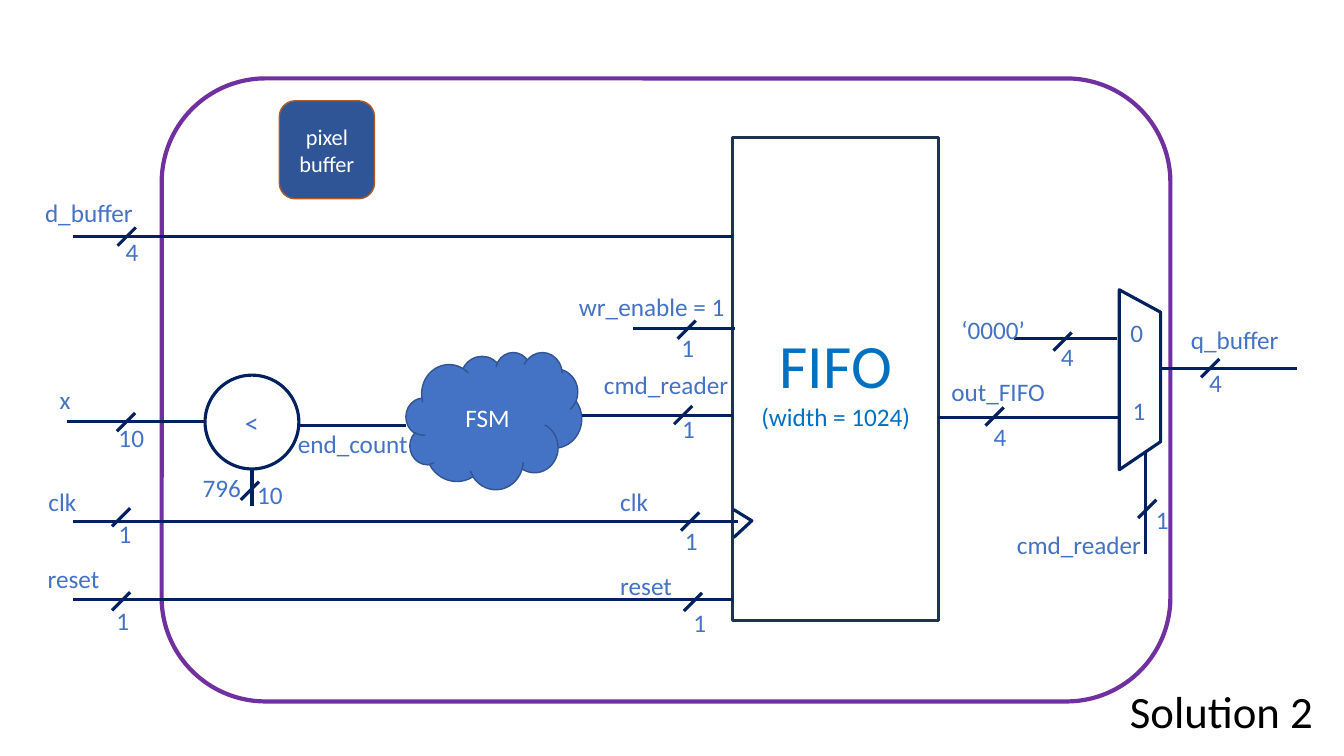
from pptx import Presentation
from pptx.dml.color import RGBColor
from pptx.enum.shapes import MSO_CONNECTOR, MSO_SHAPE
from pptx.enum.text import MSO_ANCHOR, PP_ALIGN
from pptx.oxml.ns import qn
from pptx.util import Pt
from lxml import etree

STRAIGHT = MSO_CONNECTOR.STRAIGHT
CENTER, LEFT = PP_ALIGN.CENTER, PP_ALIGN.LEFT
MIDDLE = MSO_ANCHOR.MIDDLE
ROUNDED, RECT = MSO_SHAPE.ROUNDED_RECTANGLE, MSO_SHAPE.RECTANGLE
CLOUD, OVAL = MSO_SHAPE.CLOUD, MSO_SHAPE.OVAL

COLORS = {
    "white": "FFFFFF", "black": "000000", "purple": "7030A0",
    "navy": "002060", "label": "4472C4", "fifo": "0070C0",
    "fifo_line": "1E3256", "badge": "2F5597", "badge_line": "AF5C24",
    "cloud_line": "325491",
}
FONT = "Calibri"
WIRE_WEIGHT = 2.25
TICK_REACH = 6.5
LABEL_HEIGHT = 29
BITS_WIDTH = 34.5

prs = Presentation()
prs.slide_width, prs.slide_height = Pt(960), Pt(540)
slide = prs.slides.add_slide(prs.slide_layouts[6])
shapes = slide.shapes


def write(frame, lines, color, align=CENTER):
    for i, (text, size) in enumerate(lines):
        paragraph = frame.paragraphs[0] if i == 0 else frame.add_paragraph()
        paragraph.alignment = align
        run = paragraph.add_run()
        run.text = text
        run.font.name = FONT
        run.font.size = Pt(size)
        run.font.color.rgb = RGBColor.from_string(COLORS[color])


def style(shape, fill, line, weight):
    shape.shadow.inherit = False
    if fill:
        shape.fill.solid()
        shape.fill.fore_color.rgb = RGBColor.from_string(COLORS[fill])
    else:
        shape.fill.background()
    shape.line.color.rgb = RGBColor.from_string(COLORS[line])
    shape.line.width = Pt(weight)


# Blocks: preset, box, fill, line, line width, text lines, text colour
blocks = [
    (ROUNDED, (115.5, 56, 720.5, 445), "white", "purple", 3, [], "label"),
    (ROUNDED, (199.5, 72, 68, 70), "badge", "badge_line", 1,
     [("pixel", 16), ("buffer", 16)], "white"),
    (RECT, (523.5, 98.5, 147, 345), None, "fifo_line", 2.25,
     [("FIFO", 44), ("(width = 1024)", 18)], "fifo"),
    (CLOUD, (290, 251.5, 125.5, 98), "label", "cloud_line", 1,
     [("FSM", 18)], "white"),
    (OVAL, (146.5, 268, 67, 67), "white", "navy", 2.25,
     [("<", 20)], "label"),
]
for preset, box, fill, line, weight, lines, color in blocks:
    block = shapes.add_shape(preset, *(Pt(v) for v in box))
    style(block, fill, line, weight)
    block.text_frame.vertical_anchor = MIDDLE
    write(block.text_frame, lines, color)

# Multiplexer and clock-input outlines: points, closed
outlines = [
    ([(799.5, 207), (829, 223), (829, 315.5), (799.5, 335.5)], True),
    ([(524, 364), (537, 372), (524, 384)], False),
]
for points, closed in outlines:
    builder = shapes.build_freeform(Pt(points[0][0]), Pt(points[0][1]))
    builder.add_line_segments([(Pt(x), Pt(y)) for x, y in points[1:]], close=closed)
    style(builder.convert_to_shape(), None, "navy", WIRE_WEIGHT)

# Signal wires: start x, y, end x, y
wires = [
    (52, 169, 523.5, 169),        # d_buffer
    (48, 301, 145.5, 301),        # x
    (52, 372.25, 527, 372.25),    # clk
    (52, 428.5, 523.5, 428.5),    # reset
    (180, 361.5, 180, 335.5),     # 796
    (213.5, 304, 290, 304),       # end_count
    (452.5, 234.75, 525, 234.75), # wr_enable
    (415.5, 297, 523.5, 297),     # cmd_reader into FIFO
    (670, 298, 799.5, 298),       # out_FIFO
    (724.5, 242, 798, 242),       # '0000'
    (818.5, 396, 818.5, 323),     # cmd_reader into multiplexer
    (829, 263.25, 926.5, 263.25), # q_buffer
]

# Bus widths: bits, centre of the tick, left and top of the number
buses = [
    ("4", 90.5, 169, 77, 165.5),
    ("10", 90, 301.5, 76.5, 298),
    ("1", 86.5, 369.5, 72, 366.5),
    ("1", 86.5, 429.5, 70.5, 429),
    ("10", 178.5, 350.5, 175.5, 339),
    ("1", 490.5, 235.5, 474, 234),
    ("1", 488, 296.5, 474.5, 291.5),
    ("1", 493, 372.5, 476.5, 371.5),
    ("1", 495, 430, 482.5, 430),
    ("4", 710.5, 297.5, 697, 297.5),
    ("4", 759, 244, 745, 240.5),
    ("1", 819.5, 363.5, 813, 357),
    ("4", 864.5, 263, 851, 259),
]
ticks = [(x - TICK_REACH, y + TICK_REACH, x + TICK_REACH, y - TICK_REACH)
         for _, x, y, _, _ in buses]
for ends in wires + ticks:
    wire = shapes.add_connector(STRAIGHT, *(Pt(v) for v in ends))
    wire.line.color.rgb = RGBColor.from_string(COLORS["navy"])
    wire.line.width = Pt(WIRE_WEIGHT)
    etree.SubElement(wire._element.spPr, qn("a:effectLst"))

# Signal names: text, left, top, width
names = [
    ("d_buffer", 24.5, 137.5, 78),
    ("x", 24, 271, 45),
    ("clk", 14.5, 343.5, 60),
    ("reset", 22.5, 399, 60),
    ("796", 136, 334, 45),
    ("end_count", 201.5, 302.5, 101),
    ("wr_enable = 1", 405.5, 204.5, 120),
    ("cmd_reader", 422.5, 260.5, 106.5),
    ("clk", 417, 344, 72),
    ("reset", 425.5, 404, 72),
    ("‘0000’", 670.5, 221, 78),
    ("out_FIFO", 669.5, 265, 87),
    ("0", 799, 223, 26),
    ("1", 799, 278.5, 29),
    ("cmd_reader", 716.5, 374.5, 108.5),
    ("q_buffer", 843, 228, 78),
]
numbers = [(bits, left, top, BITS_WIDTH) for bits, _, _, left, top in buses]
for text, left, top, width in names + numbers:
    label = shapes.add_textbox(Pt(left), Pt(top), Pt(width), Pt(LABEL_HEIGHT))
    label.text_frame.word_wrap = True
    write(label.text_frame, [(text, 18)], "label")

# Caption
caption = shapes.add_textbox(Pt(800), Pt(484.5), Pt(147), Pt(46))
caption.text_frame.word_wrap = False
write(caption.text_frame, [("Solution 2", 32)], "black", LEFT)

prs.save("out.pptx")
